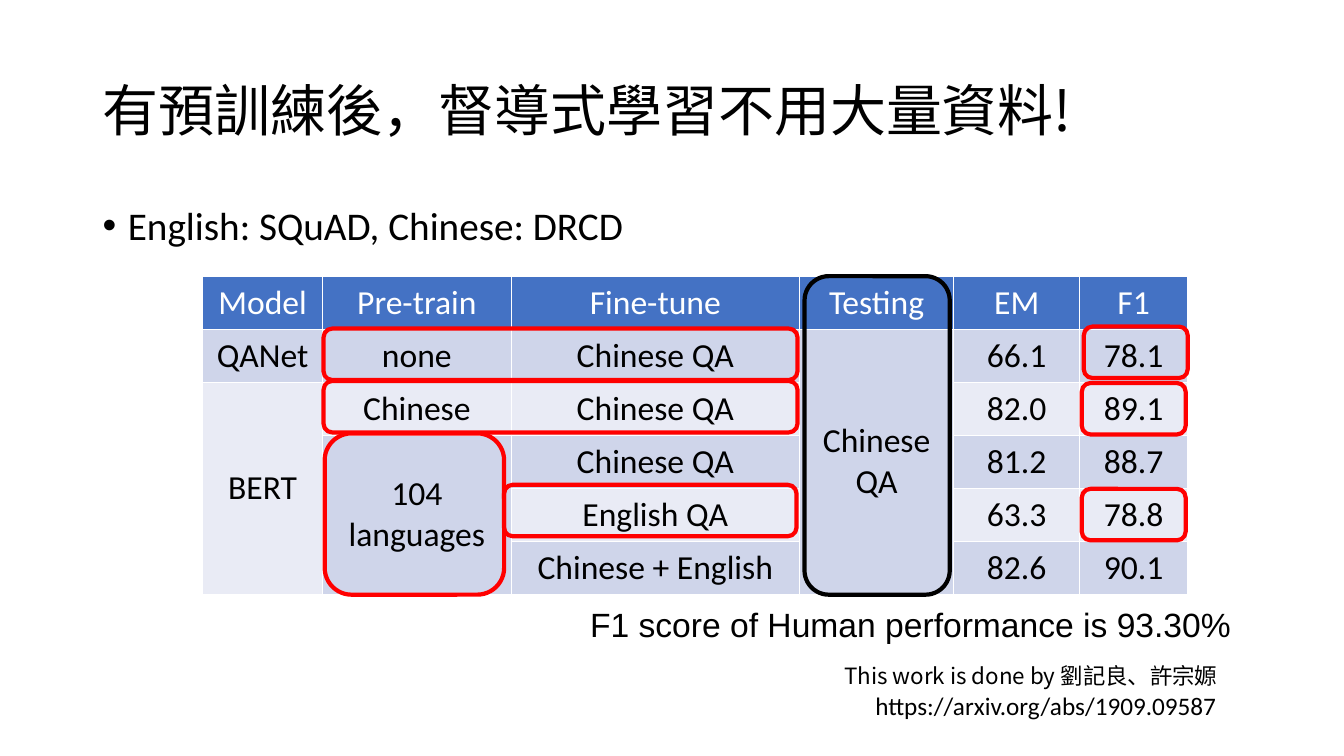
from lxml import etree
from pptx import Presentation
from pptx import util as u
from pptx.dml.color import RGBColor
from pptx.enum import shapes, text
from pptx.oxml import ns

PX = 9144  # 100 px to the inch
BLACK, WHITE, RED = RGBColor(0, 0, 0), RGBColor(255, 255, 255), RGBColor(255, 0, 0)
HEADER = RGBColor(0x44, 0x72, 0xC4)
BANDS = RGBColor(0xCF, 0xD5, 0xEA), RGBColor(0xE9, 0xEB, 0xF5)
CJK, LATIN = "Noto Sans CJK SC", "Calibri"
LEFT, CENTER, RIGHT = text.PP_ALIGN.LEFT, text.PP_ALIGN.CENTER, text.PP_ALIGN.RIGHT

# Content
TITLE = "有預訓練後，督導式學習不用大量資料!"
BULLET = "English: SQuAD, Chinese: DRCD"
ROWS = [
    ("Model", "Pre-train", "Fine-tune", "Testing", "EM", "F1"),
    ("QANet", "none", "Chinese QA", "Chinese\nQA", "66.1", "78.1"),
    ("BERT", "Chinese", "Chinese QA", "", "82.0", "89.1"),
    ("", "104 languages", "Chinese QA", "", "81.2", "88.7"),
    ("", "", "English QA", "", "63.3", "78.8"),
    ("", "", "Chinese + English", "", "82.6", "90.1"),
]
MERGES = [(1, 3, 5), (2, 0, 5), (3, 1, 5)]  # first row, column, last row
COLUMNS = [119, 187, 286, 153, 125, 107]
TABLE_LEFT, TABLE_TOP, ROW_HEIGHT, TABLE_HEIGHT = 201, 274, 53, 316
FRAMES = [  # left, top, width, height, colour
    (798, TABLE_TOP, 144, TABLE_HEIGHT, BLACK),
    (321, 326, 470, 51, RED),
    (1075, 324, 103, 51, RED),
    (321, 378, 470, 51, RED),
    (1073, 380, 103, 51, RED),
    (322, 430, 178, 160, RED),
    (500, 481, 290, 51, RED),
    (1073, 485, 103, 51, RED),
]
NOTES = [  # text, place, size, font, alignment, wrap
    ("F1 score of Human performance is 93.30%", (572, 594, 662, 50), 24, "Arial", CENTER, False),
    ("This work is done by 劉記良、許宗嫄", (798, 652, 419, 37), 16, CJK, RIGHT, True),
    ("https://arxiv.org/abs/1909.09587", (814, 680, 402, 40), 18, LATIN, RIGHT, True),
]


def emu(*lengths):
    return [u.Emu(length * PX) for length in lengths]


def style(frame, size, font, colour=BLACK, align=LEFT):
    for para in frame.paragraphs:
        para.alignment = align
        for span in para.runs:
            span.font.size = u.Pt(size)
            span.font.name = font
            span.font.color.rgb = colour
            east = etree.SubElement(span.font._element, ns.qn("a:ea"))
            east.set("typeface", font)


def add_text(page, words, place, size, font, align=LEFT, wrap=True):
    frame = page.shapes.add_textbox(*emu(*place)).text_frame
    frame.word_wrap = wrap
    frame.text = words
    style(frame, size, font, align=align)
    return frame


def add_borders(cell):
    properties = cell._tc.get_or_add_tcPr()
    for index, side in enumerate(("lnL", "lnR", "lnT", "lnB")):
        line = etree.Element(ns.qn("a:" + side), w=str(u.Pt(1)))
        fill = etree.SubElement(line, ns.qn("a:solidFill"))
        etree.SubElement(fill, ns.qn("a:srgbClr"), val=str(WHITE))
        properties.insert(index, line)


def add_results(page):
    place = emu(TABLE_LEFT, TABLE_TOP, sum(COLUMNS), TABLE_HEIGHT)
    table = page.shapes.add_table(len(ROWS), len(COLUMNS), *place).table
    for column, width in zip(table.columns, COLUMNS):
        column.width = u.Emu(width * PX)
    for row_index, values in enumerate(ROWS):
        table.rows[row_index].height = u.Emu(TABLE_HEIGHT * PX // len(ROWS))
        fill = BANDS[(row_index - 1) % 2] if row_index else HEADER
        for column_index, value in enumerate(values):
            cell = table.cell(row_index, column_index)
            cell.text_frame.text = value
            cell.vertical_anchor = text.MSO_ANCHOR.MIDDLE
            cell.fill.solid()
            cell.fill.fore_color.rgb = fill
            style(cell.text_frame, 24, LATIN, BLACK if row_index else WHITE, CENTER)
            add_borders(cell)
    for first, column, last in MERGES:
        table.cell(first, column).merge(table.cell(last, column))


def main():
    deck = Presentation()
    deck.slide_width, deck.slide_height = emu(1333, 750)
    page = deck.slides.add_slide(deck.slide_layouts[6])

    # Title and bullet
    title = add_text(page, TITLE, (92, 40, 1150, 145), 40, CJK)
    title.vertical_anchor = text.MSO_ANCHOR.MIDDLE
    title.paragraphs[0].line_spacing = 0.9
    body = add_text(page, BULLET, (92, 200, 1150, 476), 28, LATIN)
    para = body.paragraphs[0]
    para.line_spacing = 0.9
    properties = para._p.get_or_add_pPr()
    properties.set("marL", str(25 * PX))
    properties.set("indent", str(-25 * PX))
    etree.SubElement(properties, ns.qn("a:buFont"), typeface="Arial")
    etree.SubElement(properties, ns.qn("a:buChar"), char="•")

    # Results table with highlight frames
    add_results(page)
    for *place, colour in FRAMES:
        box = page.shapes.add_shape(shapes.MSO_SHAPE.ROUNDED_RECTANGLE, *emu(*place))
        box.shadow.inherit = False
        box.fill.background()
        box.line.color.rgb = colour
        box.line.width = u.Pt(3)

    # Notes below the table
    for note in NOTES:
        add_text(page, *note)

    deck.save("out.pptx")


if __name__ == "__main__":
    main()
